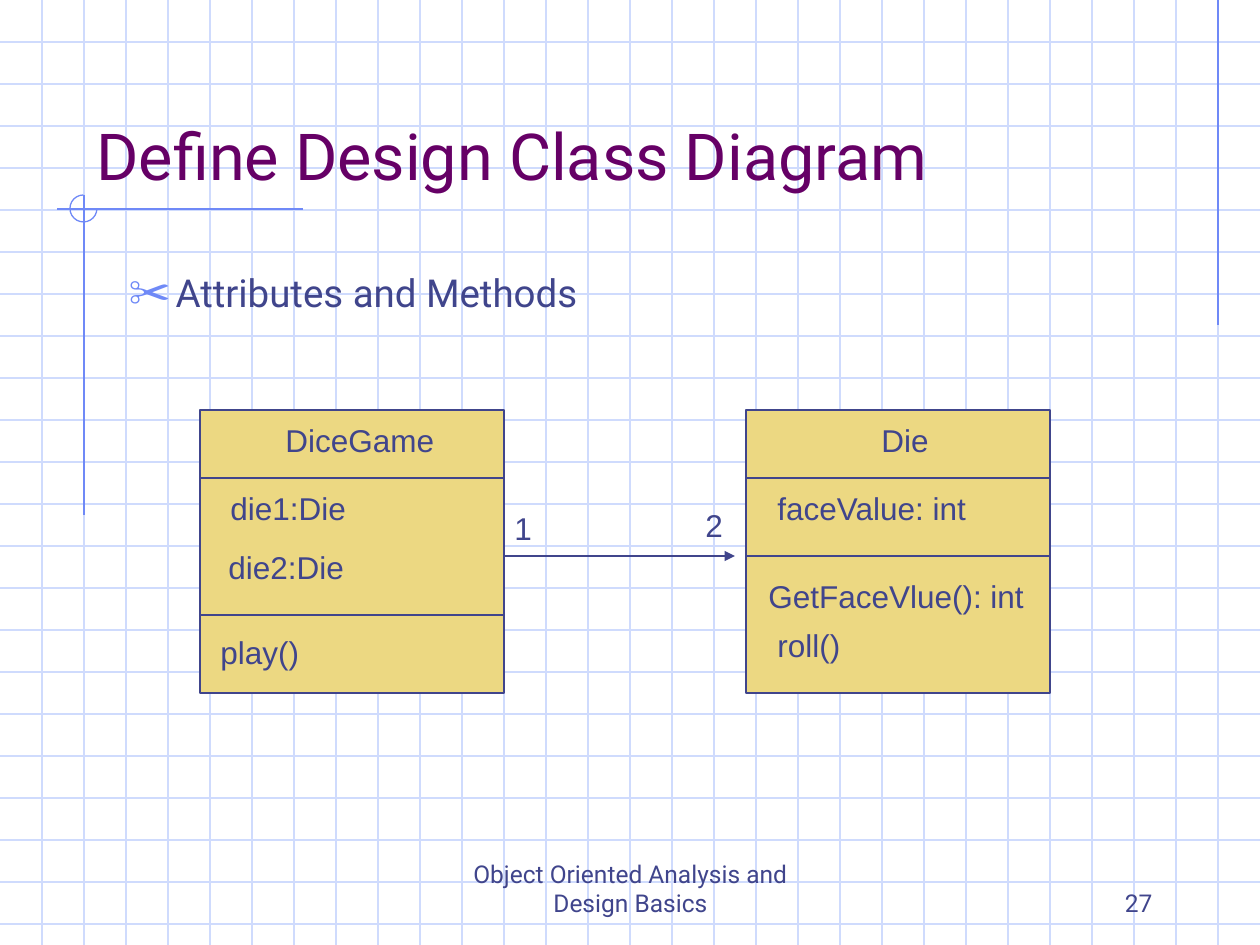
from dataclasses import dataclass

from lxml import etree
from pptx import Presentation
from pptx import util as u
from pptx.dml.color import RGBColor
from pptx.enum import shapes, text
from pptx.oxml.ns import qn

PX = 914400 / 126
WIDTH, HEIGHT, GRID = 1260, 945, 42
PALE, BLUE, INK, PURPLE, GOLD = "CFDBFD", "6F89F7", "40458C", "660066", "ECD882"
LABEL_HEIGHT = 50


@dataclass
class Label:
    text: str
    x: int
    y: int
    w: int


@dataclass
class ClassBox:
    x: int
    dividers: tuple[int, int]
    labels: list[Label]
    y: int = 410
    w: int = 304
    h: int = 283


CLASSES = [
    ClassBox(200, (478, 615), [
        Label("DiceGame", 273, 415, 178),
        Label("die1:Die", 218, 483, 144),
        Label("die2:Die", 216, 542, 144),
        Label("play()", 208, 627, 107),
    ]),
    ClassBox(746, (478, 556), [
        Label("Die", 869, 415, 76),
        Label("faceValue: int", 765, 483, 219),
        Label("GetFaceVlue(): int", 756, 571, 285),
        Label("roll()", 765, 620, 92),
    ]),
]
MULTIPLICITIES = [Label("1", 502, 503, 46), Label("2", 693, 500, 46)]


def emu(px: int) -> int:
    return u.Emu(round(px * PX))


def rgb(value: str) -> RGBColor:
    return RGBColor.from_string(value)


def stroke(sp, color: str) -> None:
    sp.line.color.rgb = rgb(color)
    sp.line.width = u.Pt(0.75)


def line(s, x1: int, y1: int, x2: int, y2: int, color: str, arrow: bool = False) -> None:
    cx = s.shapes.add_connector(shapes.MSO_CONNECTOR.STRAIGHT,
                                emu(x1), emu(y1), emu(x2), emu(y2))
    stroke(cx, color)
    if arrow:
        etree.SubElement(cx.line._get_or_add_ln(), qn("a:tailEnd"), type="triangle")
    etree.SubElement(cx._element.spPr, qn("a:effectLst"))


def shape(s, kind, x: int, y: int, w: int, h: int, color: str, fill: str | None = None):
    sp = s.shapes.add_shape(kind, emu(x), emu(y), emu(w), emu(h))
    sp.shadow.inherit = False
    stroke(sp, color)
    if fill:
        sp.fill.solid()
        sp.fill.fore_color.rgb = rgb(fill)
    else:
        sp.fill.background()
    return sp


def place(sp, x: int, y: int, w: int, h: int) -> None:
    sp.left, sp.top, sp.width, sp.height = (emu(v) for v in (x, y, w, h))


def write(sp, content: str, *, size: int, font: str = "Roboto", color: str = INK,
          align=text.PP_ALIGN.LEFT, anchor=text.MSO_ANCHOR.TOP):
    tf = sp.text_frame
    tf.word_wrap = True
    tf.auto_size = text.MSO_AUTO_SIZE.NONE
    tf.vertical_anchor = anchor
    p = tf.paragraphs[0]
    p.alignment = align
    p.space_before = u.Pt(0)
    r = p.add_run()
    r.text = content
    r.font.size = u.Pt(size)
    r.font.name = font
    r.font.color.rgb = rgb(color)
    return p


def textbox(s, content: str, x: int, y: int, w: int, h: int, **fmt) -> None:
    write(s.shapes.add_textbox(emu(x), emu(y), emu(w), emu(h)), content, **fmt)


def label(s, item: Label) -> None:
    textbox(s, item.text, item.x, item.y, item.w, LABEL_HEIGHT, size=18, font="Arial")


def bullet(p, char: str, color: str, percent: int, indent: int) -> None:
    pPr = p._p.get_or_add_pPr()
    pPr.set("marL", str(emu(indent)))
    pPr.set("indent", str(-emu(indent)))
    clr = etree.SubElement(pPr, qn("a:buClr"))
    etree.SubElement(clr, qn("a:srgbClr"), val=color)
    etree.SubElement(pPr, qn("a:buSzPct"), val=str(percent * 1000))
    etree.SubElement(pPr, qn("a:buChar"), char=char)


def backdrop(s) -> None:
    for y in range(GRID, HEIGHT, GRID):
        line(s, 0, y, WIDTH, y, PALE)
    for x in range(GRID, WIDTH, GRID):
        line(s, x, 0, x, HEIGHT, PALE)
    line(s, 1218, 0, 1218, 325, BLUE)
    line(s, 303, 209, 57, 209, BLUE)
    line(s, 84, 195, 84, 515, BLUE)
    arc = shape(s, shapes.MSO_SHAPE.ARC, 70, 195, 27, 27, BLUE)
    # Clockwise from three o'clock to twelve, in 60000ths of a degree
    arc.adjustments[0], arc.adjustments[1] = 0, 270 * 60000 / 100000


def class_box(s, box: ClassBox) -> None:
    shape(s, shapes.MSO_SHAPE.RECTANGLE, box.x, box.y, box.w, box.h, INK, GOLD)
    for y in box.dividers:
        line(s, box.x, y, box.x + box.w, y, INK)
    for item in box.labels:
        label(s, item)


def main() -> None:
    prs = Presentation()
    prs.slide_width, prs.slide_height = emu(WIDTH), emu(HEIGHT)
    s = prs.slides.add_slide(prs.slide_layouts[1])
    title, body = s.shapes.title, s.placeholders[1]

    backdrop(s)
    for sp in (title, body):  # bring in front of the grid
        s.shapes._spTree.append(sp._element)

    bottom = text.MSO_ANCHOR.BOTTOM
    textbox(s, "Object Oriented Analysis and Design Basics", 431, 861, 399, 63,
            size=14, align=text.PP_ALIGN.CENTER, anchor=bottom)
    textbox(s, "27", 903, 861, 262, 63, size=14, align=text.PP_ALIGN.RIGHT, anchor=bottom)

    place(title, 84, 42, 1071, 158)
    write(title, "Define Design Class Diagram", size=37, color=PURPLE, anchor=bottom)
    place(body, 116, 263, 1071, 105)
    bullet(write(body, "Attributes and Methods", size=22), "✂", BLUE, 110, 47)

    for box in CLASSES:
        class_box(s, box)
    line(s, 504, 556, 735, 556, INK, arrow=True)
    for item in MULTIPLICITIES:
        label(s, item)

    prs.save("out.pptx")


if __name__ == "__main__":
    main()
